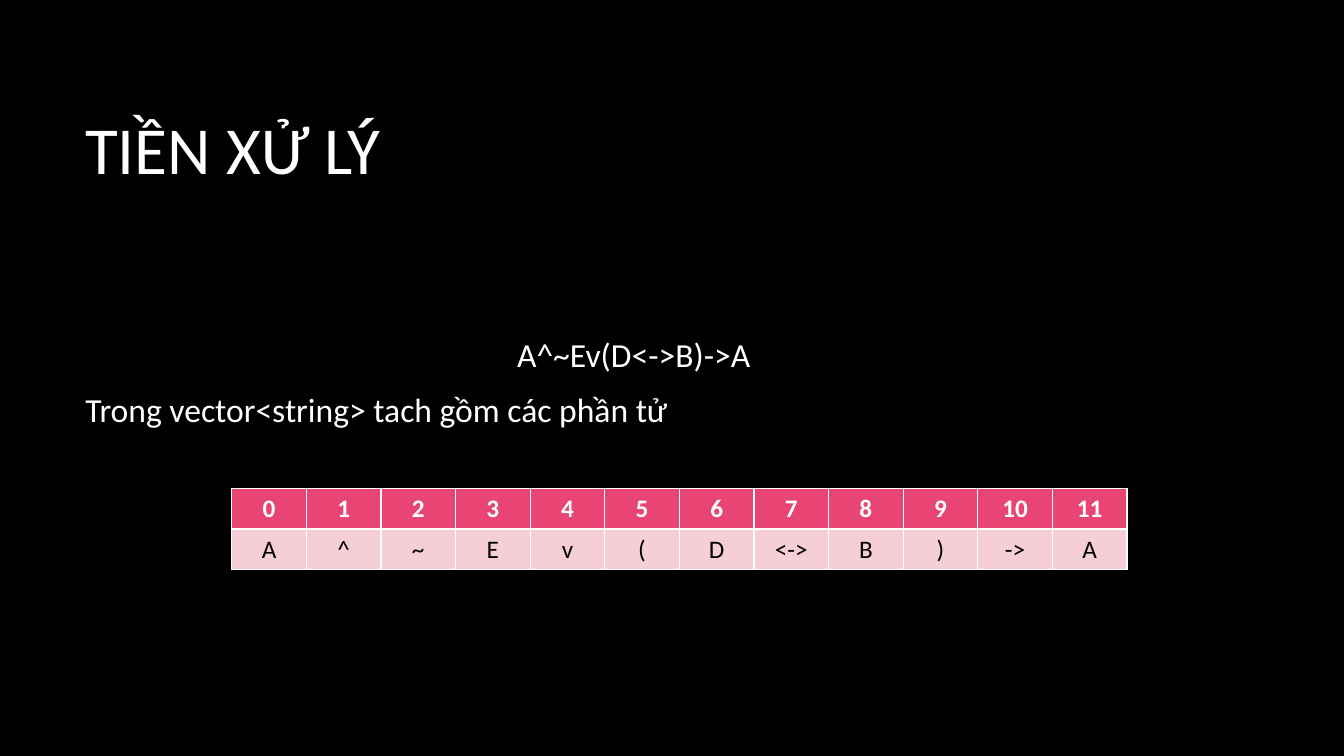
from dataclasses import dataclass

from lxml import etree
from pptx import Presentation
from pptx.dml.color import RGBColor
from pptx.enum.text import MSO_ANCHOR, PP_ALIGN
from pptx.oxml.ns import qn
from pptx.util import Cm, Pt

MIDDLE = MSO_ANCHOR.MIDDLE
LEFT, CENTER, JUSTIFY = PP_ALIGN.LEFT, PP_ALIGN.CENTER, PP_ALIGN.JUSTIFY


@dataclass(frozen=True)
class Theme:
    font: str = "Calibri"
    background: str = "000000"
    light: str = "FFFFFF"
    dark: str = "000000"
    header_fill: str = "E84574"
    row_fill: str = "F6CFD6"
    title_size: int = 48
    body_size: int = 24
    table_size: int = 18
    border_width: int = 1


def apply(target, values):
    for name, value in values.items():
        setattr(target, name, value)


class SlideBuilder:
    def __init__(self, slide, theme):
        self.slide, self.theme = slide, theme
        fill = slide.background.fill
        fill.solid()
        fill.fore_color.rgb = RGBColor.from_string(theme.background)

    def line_of_text(self, paragraph, text, size, color, bold=False, **layout):
        apply(paragraph, layout)
        run = paragraph.add_run()
        run.text = text
        apply(run.font, {"name": self.theme.font, "size": Pt(size), "bold": bold})
        run.font.color.rgb = RGBColor.from_string(color)

    def text(self, box, lines, size, space_after=0, **frame_format):
        frame = self.slide.shapes.add_textbox(*map(Cm, box)).text_frame
        apply(frame, {"word_wrap": True, "vertical_anchor": MIDDLE, **frame_format})
        for index, (line, alignment) in enumerate(lines):
            paragraph = frame.add_paragraph() if index else frame.paragraphs[0]
            self.line_of_text(paragraph, line, size, self.theme.light,
                              alignment=alignment, space_after=Pt(space_after))

    def border(self, cell):
        properties = cell._tc.get_or_add_tcPr()
        for side in ("a:lnL", "a:lnR", "a:lnT", "a:lnB"):
            line = etree.SubElement(properties, qn(side),
                                    w=str(Pt(self.theme.border_width)))
            fill = etree.SubElement(line, qn("a:solidFill"))
            etree.SubElement(fill, qn("a:srgbClr"), val=self.theme.light)

    def table(self, left, top, column_width, row_height, rows):
        """Each row is (texts, fill, text color, bold)."""
        columns = len(rows[0][0])
        table = self.slide.shapes.add_table(
            len(rows), columns, Cm(left), Cm(top),
            Cm(column_width * columns), Cm(row_height * len(rows))).table
        for column in table.columns:
            column.width = Cm(column_width)
        for r, (texts, fill, color, bold) in enumerate(rows):
            table.rows[r].height = Cm(row_height)
            for c, text in enumerate(texts):
                cell = table.cell(r, c)
                self.border(cell)
                cell.fill.solid()
                cell.fill.fore_color.rgb = RGBColor.from_string(fill)
                self.line_of_text(cell.text_frame.paragraphs[0], text,
                                  self.theme.table_size, color, bold,
                                  alignment=CENTER)


presentation = Presentation()
apply(presentation, {"slide_width": Cm(33.87), "slide_height": Cm(19.05)})
theme = Theme()
builder = SlideBuilder(
    presentation.slides.add_slide(presentation.slide_layouts[6]), theme)

# Title
builder.text((1.9, 1.7, 28.14, 4.04), [("TIỀN XỬ LÝ", LEFT)], theme.title_size)

# Formula and explanation, lifted to leave room for the table
builder.text(
    (1.9, 5.94, 28.14, 10.13),
    [("A^~Ev(D<->B)->A", CENTER),
     ("Trong vector<string> tach gồm các phần tử", JUSTIFY)],
    theme.body_size, space_after=10, margin_bottom=Cm(2.9))

# Tokens with their indexes
tokens = ["A", "^", "~", "E", "v", "(", "D", "<->", "B", ")", "->", "A"]
indexes = [str(index) for index in range(len(tokens))]
builder.table(5.84, 12.3, 1.88, 1.03, [
    (indexes, theme.header_fill, theme.light, True),
    (tokens, theme.row_fill, theme.dark, False),
])

presentation.save("out.pptx")
